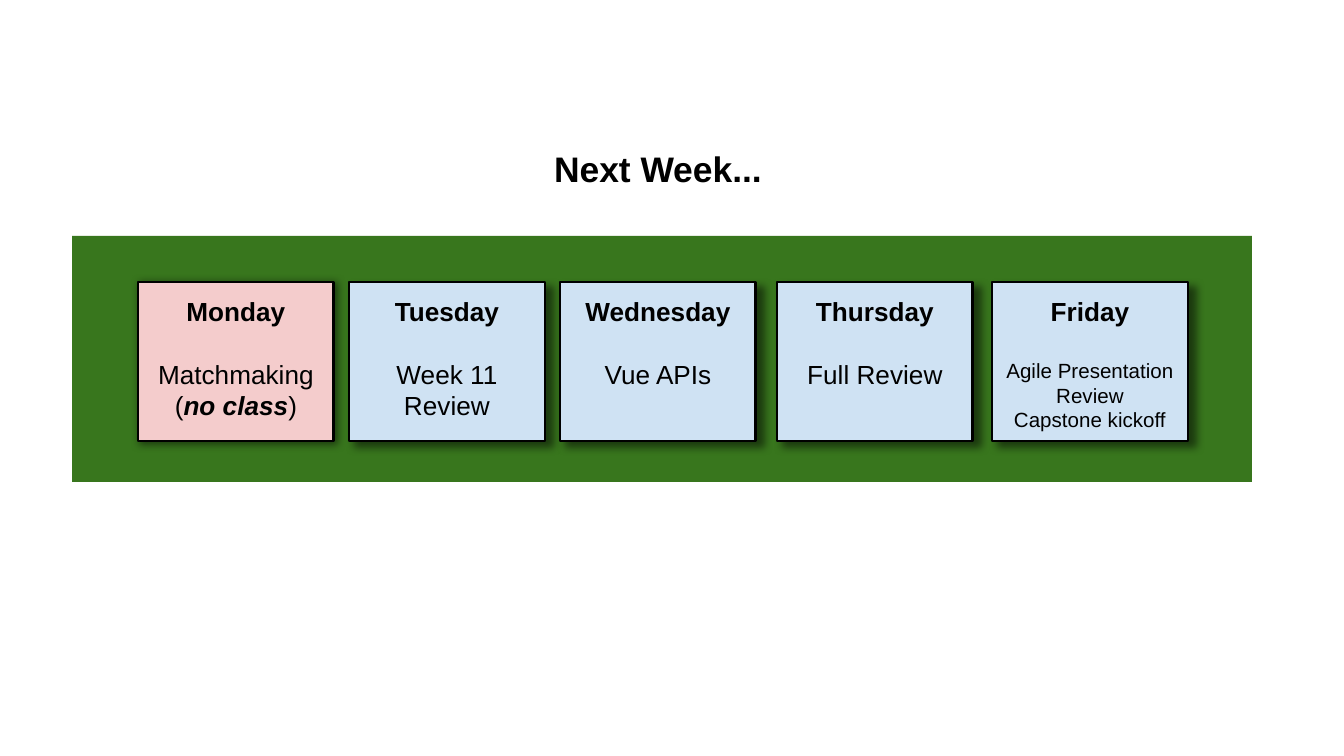
from dataclasses import dataclass

from lxml import etree
from pptx import Presentation
from pptx import util as u
from pptx.dml.color import RGBColor
from pptx.enum import shapes, text
from pptx.oxml.ns import qn

EMU_PER_PX = 914400 / 134.4
FONT = "Arial"
BLACK = RGBColor(0x00, 0x00, 0x00)
GREEN = RGBColor(0x38, 0x76, 0x1D)
BLUE = RGBColor(0xCF, 0xE2, 0xF3)
PINK = RGBColor(0xF4, 0xCC, 0xCC)

CARD_TOP, CARD_WIDTH, CARD_HEIGHT = 282, 196, 159
INSET = 13


@dataclass(frozen=True)
class Span:
    text: str
    emphasis: bool = False


@dataclass(frozen=True)
class DayCard:
    day: str
    left: int
    plan: tuple[Span, ...]
    fill: RGBColor = BLUE
    plan_size: int = 14
    shadow_distance: float = 4.5
    shadow_opacity: int = 49


CARDS = (
    DayCard("Monday", 138,
            (Span("Matchmaking\n("), Span("no class", emphasis=True), Span(")")),
            fill=PINK, shadow_distance=1.5, shadow_opacity=50),
    DayCard("Tuesday", 349, (Span("Week 11 Review"),)),
    DayCard("Wednesday", 560, (Span("Vue APIs"),)),
    DayCard("Thursday", 777, (Span("Full Review"),)),
    DayCard("Friday", 992,
            (Span("Agile Presentation\nReview\nCapstone kickoff"),), plan_size=11),
)


def px(length: int) -> u.Emu:
    return u.Emu(round(length * EMU_PER_PX))


def add_rectangle(slide, left: int, top: int, width: int, height: int, fill: RGBColor):
    shape = slide.shapes.add_shape(shapes.MSO_SHAPE.RECTANGLE,
                                   px(left), px(top), px(width), px(height))
    shape.fill.solid()
    shape.fill.fore_color.rgb = fill
    shape.line.fill.background()
    shape.shadow.inherit = False
    return shape


def add_shadow(shape, distance: float, opacity: int) -> None:
    """Put a soft black shadow into the shape's empty effect list."""
    effects = shape._element.spPr.find(qn("a:effectLst"))
    shadow = etree.SubElement(effects, qn("a:outerShdw"), blurRad=str(u.Pt(4.5)),
                              dist=str(u.Pt(distance)), dir=str(36 * 60000),
                              algn="bl", rotWithShape="0")
    color = etree.SubElement(shadow, qn("a:srgbClr"), val=str(BLACK))
    etree.SubElement(color, qn("a:alpha"), val=str(opacity * 1000))


def prepare_frame(frame) -> None:
    frame.word_wrap = True
    frame.vertical_anchor = text.MSO_ANCHOR.TOP
    frame.margin_left = frame.margin_right = px(INSET)
    frame.margin_top = frame.margin_bottom = px(INSET)


def format_paragraph(paragraph, size: int, bold: bool) -> None:
    paragraph.alignment = text.PP_ALIGN.CENTER
    paragraph.font.name = FONT
    paragraph.font.size = u.Pt(size)
    paragraph.font.bold = bold
    paragraph.font.color.rgb = BLACK


def add_span(paragraph, span: Span) -> None:
    for index, line in enumerate(span.text.split("\n")):
        if index:
            paragraph.add_line_break()
        run = paragraph.add_run()
        run.text = line
        if span.emphasis:
            run.font.bold = run.font.italic = True


def add_title(slide, wording: str) -> None:
    title = slide.shapes.title
    title.left, title.top, title.width, title.height = map(px, (128, 134, 1060, 70))
    frame = title.text_frame
    prepare_frame(frame)
    frame.auto_size = text.MSO_AUTO_SIZE.SHAPE_TO_FIT_TEXT
    frame.text = wording
    format_paragraph(frame.paragraphs[0], 19, bold=True)


def add_card(slide, card: DayCard) -> None:
    shape = add_rectangle(slide, card.left, CARD_TOP, CARD_WIDTH, CARD_HEIGHT, card.fill)
    shape.line.color.rgb = BLACK
    shape.line.width = u.Pt(1.5)
    add_shadow(shape, card.shadow_distance, card.shadow_opacity)

    frame = shape.text_frame
    prepare_frame(frame)
    heading = frame.paragraphs[0]
    heading.text = card.day
    format_paragraph(heading, 14, bold=True)

    plan = frame.add_paragraph()
    format_paragraph(plan, card.plan_size, bold=False)
    plan.space_before = u.Pt(17)
    for span in card.plan:
        add_span(plan, span)


def main() -> None:
    presentation = Presentation()
    presentation.slide_width, presentation.slide_height = px(1344), px(756)
    slide = presentation.slides.add_slide(presentation.slide_layouts[5])
    add_title(slide, "Next Week...")
    add_rectangle(slide, 72, 236, 1180, 246, GREEN)
    for card in CARDS:
        add_card(slide, card)
    presentation.save("out.pptx")


if __name__ == "__main__":
    main()
